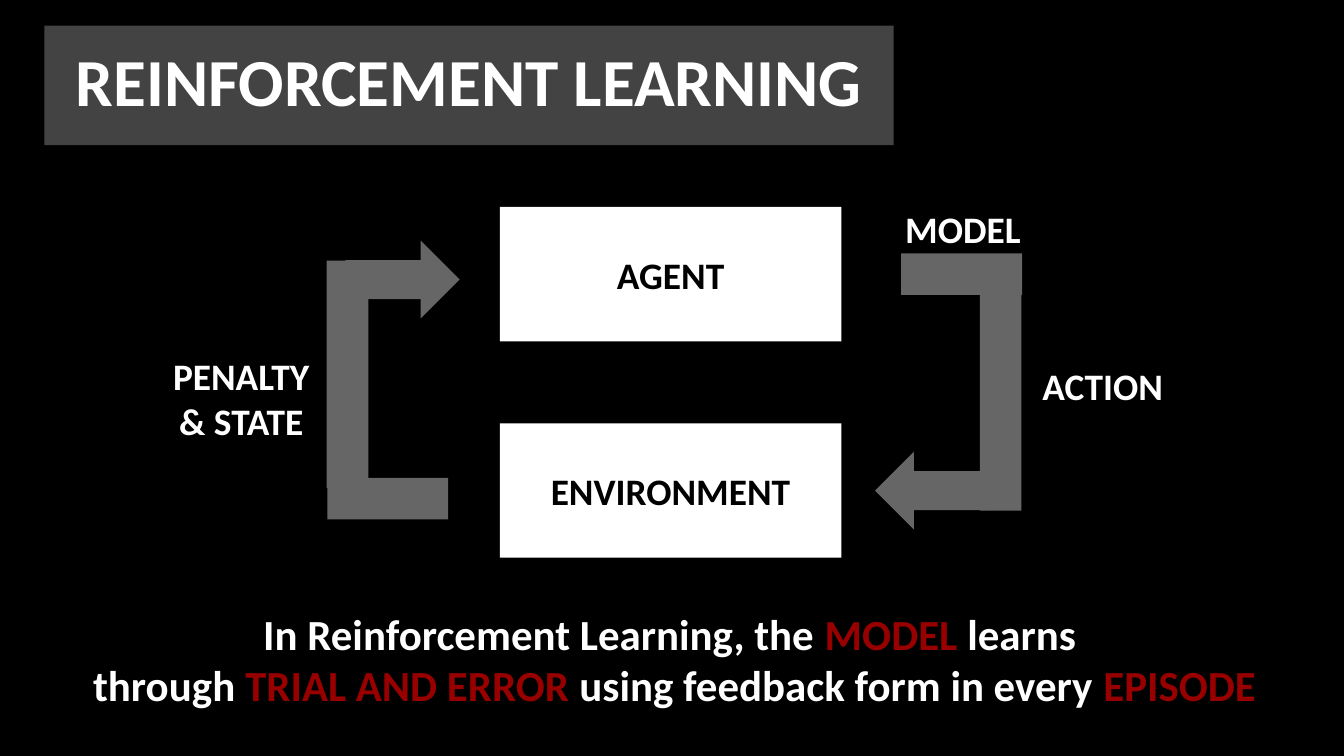
from pptx import Presentation
from pptx.dml.color import RGBColor
from pptx.enum import shapes, text
from pptx.util import Inches, Pt

BLACK, WHITE, GREY, RED = "000000", "FFFFFF", "666666", "980000"


def add_block(kind, box, color):
    shape = slide.shapes.add_shape(kind, *[Inches(length) for length in box])
    shape.shadow.inherit = False
    shape.fill.solid()
    shape.fill.fore_color.rgb = RGBColor.from_string(color)
    shape.line.fill.background()
    return shape


def write(shape, lines, size, anchor=text.MSO_ANCHOR.MIDDLE):
    """Write centred bold lines, each a list of (words, color) runs."""
    frame = shape.text_frame
    frame.word_wrap = True
    frame.vertical_anchor = anchor
    frame.margin_left = frame.margin_right = Inches(0.1)
    frame.margin_top = frame.margin_bottom = Inches(0.1)
    for index, line in enumerate(lines):
        paragraph = frame.add_paragraph() if index else frame.paragraphs[0]
        paragraph.alignment = text.PP_ALIGN.CENTER
        for words, color in line:
            run = paragraph.add_run()
            run.text = words
            run.font.name = "Calibri"
            run.font.size = Pt(size)
            run.font.bold = True
            run.font.color.rgb = RGBColor.from_string(color)


# Widescreen 16:9 slide on black
presentation = Presentation()
presentation.slide_width = Inches(10)
presentation.slide_height = Inches(10 * 9 / 16)
slide = presentation.slides.add_slide(presentation.slide_layouts[6])
slide.background.fill.solid()
slide.background.fill.fore_color.rgb = RGBColor.from_string(BLACK)

rectangle = shapes.MSO_SHAPE.RECTANGLE
top = text.MSO_ANCHOR.TOP

# Title band
title = add_block(rectangle, (0.33, 0.19, 6.32, 0.89), "434343")
write(title, [[("REINFORCEMENT LEARNING", WHITE)]], 36, top)

# Agent and environment
for name, y in (("AGENT", 1.54), ("ENVIRONMENT", 3.15)):
    box = add_block(rectangle, (3.72, y, 2.54, 1), WHITE)
    write(box, [[(name, BLACK)]], 20)

# Side labels, placed behind the loop
for lines, x, y in ((["PENALTY", "& STATE"], 1.12, 2.61), (["ACTION"], 7.53, 2.52)):
    label = add_block(rectangle, (x, y, 1.35, 0.7), BLACK)
    write(label, [[(line, WHITE)] for line in lines], 20)

# Loop: each side is a stub, an upright and an arrowhead
for x, y, width, height, rotation in (
    (7, 1.59, 0.31, 0.9, 270),
    (7.29, 2.12, 0.31, 1.68, 0),
    (2.73, 3.26, 0.31, 0.9, 90),
    (2.43, 1.94, 0.31, 1.69, 180),
):
    bar = add_block(rectangle, (x, y, width, height), GREY)
    bar.rotation = rotation
for x, y, rotation in ((6.51, 3.36, 180), (2.57, 1.79, 0)):
    arrow = add_block(shapes.MSO_SHAPE.RIGHT_ARROW, (x, y, 0.85, 0.58), GREY)
    arrow.rotation = rotation

# Model label above the action path
model = slide.shapes.add_textbox(Inches(6.49), Inches(1.35), Inches(1.35), Inches(0.7))
write(model, [[("MODEL", WHITE)]], 20)

# Summary
summary = slide.shapes.add_textbox(Inches(0.24), Inches(4.42), Inches(9.56), Inches(0.91))
write(summary, [
    [("In Reinforcement Learning, the ", WHITE), ("MODEL", RED), (" learns ", WHITE)],
    [("through ", WHITE), ("TRIAL AND ERROR", RED),
     (" using feedback form in every ", WHITE), ("EPISODE", RED)],
], 23, top)

presentation.save("out.pptx")
